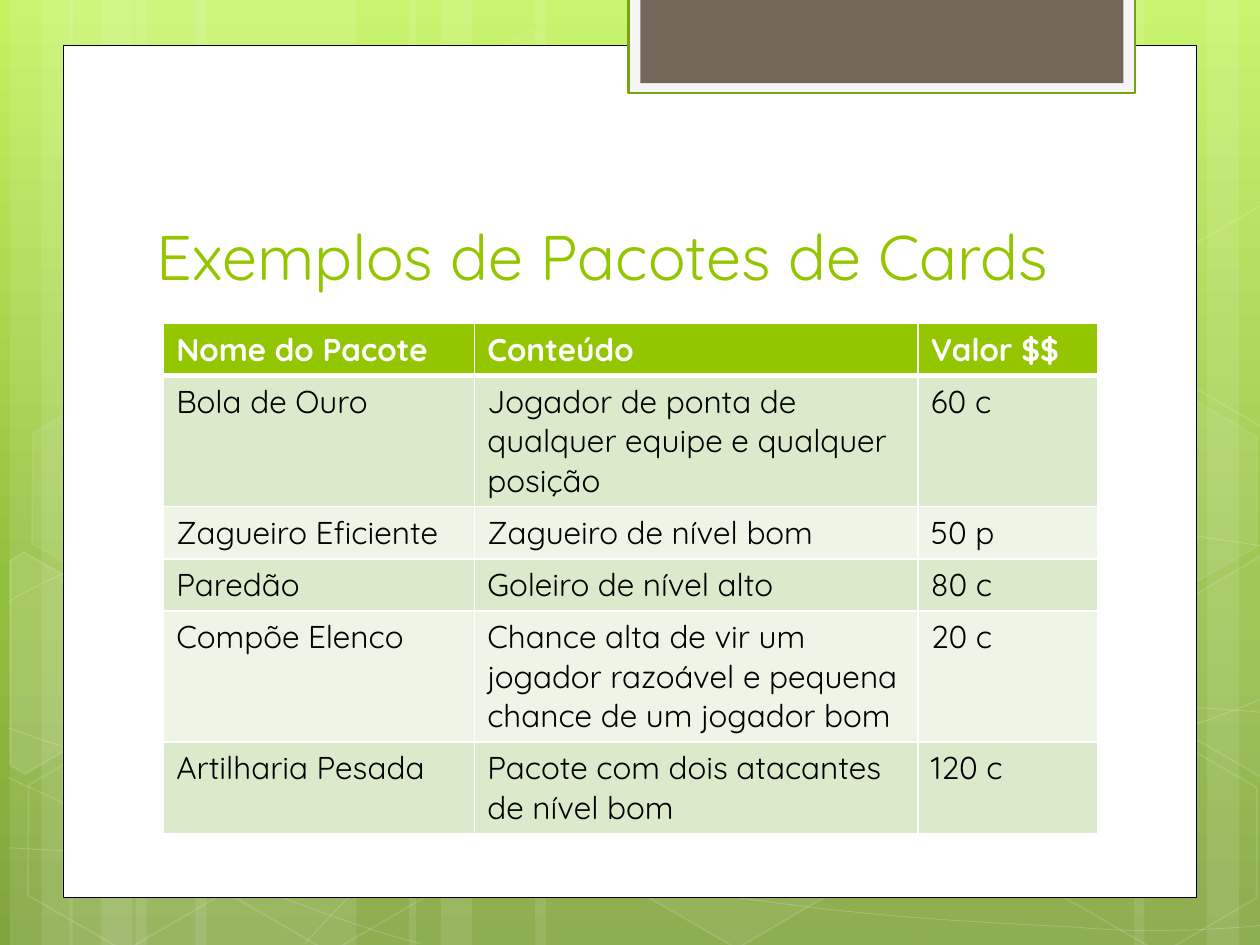
from copy import deepcopy
from math import cos, radians, sin

from lxml import etree
from pptx import Presentation
from pptx.dml.color import RGBColor
from pptx.enum import shapes, text
from pptx.oxml.ns import qn
from pptx.util import Cm, Pt

FONT = "Quicksand"
COLORS = {
    "sky": "C3F35F", "grass": "93BF3F", "moss": "81A53E",
    "white": "FFFFFF", "black": "000000", "lime": "94C600",
    "tab": "F5F5F5", "tab_edge": "74A510", "taupe": "71685A",
    "band_dark": "DCEACC", "band_light": "EEF5E7",
}
PACKAGES = [
    ("Nome do Pacote", "Conteúdo", "Valor $$"),
    ("Bola de Ouro", "Jogador de ponta de qualquer equipe e qualquer posição", "60 c"),
    ("Zagueiro Eficiente", "Zagueiro de nível bom", "50 p"),
    ("Paredão", "Goleiro de nível alto", "80 c"),
    ("Compõe Elenco",
     "Chance alta de vir um jogador razoável e pequena chance de um jogador bom", "20 c"),
    ("Artilharia Pesada", "Pacote com dois atacantes de nível bom", "120 c"),
]
COLUMN_WIDTHS = (6.27, 8.94, 3.61)
ROW_HEIGHTS = (1.03, 2.63, 1.03, 1.03, 2.63, 1.83)

# Each wave: a start point, then cubic pieces (two controls and an end), in cm
WAVES = [
    [(0.18, 17.09), (1.55, 17.17, 2.92, 17.25, 4.83, 17.22),
     (6.73, 17.2, 9.09, 17.15, 11.63, 16.89), (14.17, 16.64, 17.78, 16.15, 20.12, 15.67),
     (22.43, 15.19, 24.82, 14.43, 25.58, 14)],
    [(0.18, 12.12), (0.91, 11.71, 1.65, 11.33, 3.07, 10.95),
     (4.52, 10.57, 6.58, 10.01, 8.81, 9.83), (11.07, 9.65, 13.82, 9.63, 16.61, 9.83),
     (19.41, 10.03, 24.05, 10.82, 25.58, 11.02)],
    [(0.15, 15.67), (3.22, 17.07, 6.27, 18.47, 8.48, 19.02)],
    [(0.18, 14.68), (0.97, 14.96, 1.78, 15.24, 3.25, 15.65),
     (4.72, 16.03, 6.93, 16.66, 9.07, 17.09), (11.18, 17.53, 13.84, 17.98, 15.95, 18.24),
     (18.06, 18.52, 20.32, 18.62, 21.67, 18.69), (22.99, 18.8, 23.34, 18.75, 24, 18.75),
     (24.66, 18.72, 25.12, 18.69, 25.58, 18.64)],
    [(6.15, 19.02), (6.6, 18.52, 7.06, 18.01, 7.67, 17.55),
     (8.28, 17.09, 9.14, 16.59, 9.86, 16.23), (10.57, 15.88, 11, 15.72, 11.94, 15.47),
     (12.85, 15.21, 14.55, 14.86, 15.44, 14.68), (16.36, 14.5, 16.48, 14.5, 17.27, 14.45),
     (18.06, 14.38, 19.3, 14.3, 20.17, 14.27), (21.06, 14.25, 22.5, 14.27, 22.5, 14.27),
     (24.21, 14.27), (24.66, 14.3, 25.1, 14.33, 25.32, 14.35),
     (25.55, 14.38, 25.48, 14.35, 25.55, 14.38)],
]
TILT = 30
# left, top, fill opacity, line opacity
HEXAGONS = [
    (8.48, 0.91, 4, 8), (12.62, 14.96, 6, 12), (0.28, 15.01, None, 12),
    (0.36, 7.92, 7, 8), (4.42, 15.04, None, 12), (19.13, 11.51, 10, 12),
    (21.18, 15.06, None, 12), (21.18, 7.98, 7, 8),
]
LEFT_CUT = [(0.2, 11.3), (0.48, 11.13), (2.44, 12.24), (2.41, 14.48), (0.51, 15.6), (0.2, 15.42)]
RIGHT_CUT = [(23.52, 12.32), (25.43, 11.2), (25.63, 11.33), (25.63, 15.57),
             (25.45, 15.67), (23.52, 14.55)]
RIGHT_CUT_RISE = 7.07


def rgb(name):
    return RGBColor.from_string(COLORS[name])


def set_opacity(shape, paint_path, percent):
    color = shape.element.spPr.find(f"{paint_path}/{qn('a:srgbClr')}")
    etree.SubElement(color, qn("a:alpha")).set("val", str(percent * 1000))


def paint(shape, fill=None, opacity=None, line=None, weight=1, line_opacity=None):
    shape.shadow.inherit = False
    if fill:
        shape.fill.solid()
        shape.fill.fore_color.rgb = rgb(fill)
        if opacity:
            set_opacity(shape, qn("a:solidFill"), opacity)
    else:
        shape.fill.background()
    if line:
        shape.line.color.rgb = rgb(line)
        shape.line.width = Pt(weight)
        if line_opacity:
            set_opacity(shape, f"{qn('a:ln')}/{qn('a:solidFill')}", line_opacity)
    else:
        shape.line.fill.background()


def add_block(parent, box, kind=shapes.MSO_SHAPE.RECTANGLE, **look):
    block = parent.add_shape(kind, *map(Cm, box))
    paint(block, **look)
    return block


def add_outline(parent, points, close, **look):
    start, *rest = [(Cm(x), Cm(y)) for x, y in points]
    builder = parent.build_freeform(*start)
    builder.add_line_segments(rest, close=close)
    outline = builder.convert_to_shape()
    paint(outline, **look)
    return outline


def add_wave(parent, wave):
    """Draw through all points, then join each cubic piece into one curve."""
    points = [piece[i:i + 2] for piece in wave for i in range(0, len(piece), 2)]
    outline = add_outline(parent, points, close=False,
                          line="white", weight=0.5, line_opacity=20)
    segments = iter(list(outline.element.iter(qn("a:lnTo"))))
    for piece in wave[1:]:
        first = next(segments)
        if len(piece) == 6:
            first.tag = qn("a:cubicBezTo")
            for _ in range(2):
                segment = next(segments)
                first.append(segment[0])
                segment.getparent().remove(segment)


def add_cut_hexagon(parent, points, center, **look):
    """Lay the outline out level, then tilt it like the other hexagons."""
    x0, y0 = center
    c, s = cos(radians(TILT)), sin(radians(TILT))
    level = [(x0 + (x - x0) * c + (y - y0) * s, y0 - (x - x0) * s + (y - y0) * c)
             for x, y in points]
    add_outline(parent, level, close=True, line="white", line_opacity=12,
                **look).rotation = TILT


def write(frame, words, size=18, color="black", bold=False):
    paragraph = frame.paragraphs[0]
    paragraph.alignment = text.PP_ALIGN.LEFT
    run = paragraph.add_run()
    run.text = words
    run.font.name, run.font.size, run.font.bold = FONT, Pt(size), bold
    run.font.color.rgb = rgb(color)


def fill_background(slide):
    fill = slide.background.fill
    fill.gradient()
    fill.gradient_angle = 270
    stops = slide.element.find(f".//{qn('a:gsLst')}")
    stops.insert(1, deepcopy(stops[0]))
    colors = (("sky", 0), ("grass", 0.62), ("moss", 1))
    for stop, (color, position) in zip(fill.gradient_stops, colors):
        stop.color.rgb = rgb(color)
        stop.position = position


def add_stripes(parent, height):
    stripes = [(18.62, 4.45), (24.33, 1.27), (22.86, 2.12)]
    for left, wide in ((0.2, 4.45), (1.4, 4.45), (8.25, 7.83)):
        stripes += [(left + 2.54, wide), (left, 1.27), (left + 0.64, 2.12)]
    for left, width in stripes:
        add_block(parent, (left, 0, width, height), fill="white", opacity=10)


def add_hexagons(parent):
    for left, top, opacity, line_opacity in HEXAGONS:
        hexagon = add_block(parent, (left, top, 4.45, 3.86), shapes.MSO_SHAPE.HEXAGON,
                            fill="white" if opacity else None, opacity=opacity,
                            line="white", line_opacity=line_opacity)
        hexagon.adjustments[0] = 0.285
        hexagon.rotation = TILT
    add_cut_hexagon(parent, LEFT_CUT, (0.91, 13.59), fill="white", opacity=10)
    add_cut_hexagon(parent, RIGHT_CUT, (25.02, 13.21), fill="white", opacity=4)
    add_cut_hexagon(parent, [(x, y - RIGHT_CUT_RISE) for x, y in RIGHT_CUT],
                    (25.02, 13.21 - RIGHT_CUT_RISE))


def add_backdrop(slide, height):
    decor = slide.shapes.add_group_shape().shapes
    add_stripes(decor, height)
    for wave in WAVES:
        add_wave(decor, wave)
    add_hexagons(decor)


def add_panel(slide, left, top, width, height):
    """White page with the tab hanging from the top edge of the slide."""
    add_block(slide.shapes, (left, top, width, height), fill="white", line="black", weight=0.5)
    tab_left = left + 11.4
    add_block(slide.shapes, (tab_left, -0.05, 10.21, 1.93),
              fill="tab", line="tab_edge", weight=1.25)
    add_block(slide.shapes, (tab_left + 0.24, -0.05, 9.74, 1.73), fill="taupe")


def place_title(slide, words, box):
    title = slide.shapes.title
    title.left, title.top, title.width, title.height = map(Cm, box)
    title.element.getparent().append(title.element)  # in front of the panel
    title.text_frame.word_wrap = True
    title.text_frame.vertical_anchor = text.MSO_ANCHOR.BOTTOM
    write(title.text_frame, words, size=36, color="lime")


def set_borders(cell, **weights):
    properties = cell._tc.get_or_add_tcPr()
    for index, side in enumerate("LRTB"):
        border = etree.Element(qn(f"a:ln{side}"), w=str(Pt(weights.get(side, 1))))
        solid = etree.SubElement(border, qn("a:solidFill"))
        etree.SubElement(solid, qn("a:srgbClr"), val=COLORS["white"])
        properties.insert(index, border)


def add_package_table(slide, left, top):
    table = slide.shapes.add_table(
        len(PACKAGES), len(COLUMN_WIDTHS), Cm(left), Cm(top),
        Cm(sum(COLUMN_WIDTHS)), Cm(sum(ROW_HEIGHTS))).table
    for column, width in zip(table.columns, COLUMN_WIDTHS):
        column.width = Cm(width)
    for number, (row, height, package) in enumerate(zip(table.rows, ROW_HEIGHTS, PACKAGES)):
        row.height = Cm(height)
        header = number == 0
        band = "lime" if header else ("band_light", "band_dark")[number % 2]
        for cell, words in zip(row.cells, package):
            write(cell.text_frame, words, color="white" if header else "black", bold=header)
            cell.fill.solid()
            cell.fill.fore_color.rgb = rgb(band)
            set_borders(cell, B=3 if header else 1, T=3 if number == 1 else 1)


def main():
    deck = Presentation()
    deck.slide_width, deck.slide_height = Cm(25.4), Cm(19.05)
    slide = deck.slides.add_slide(deck.slide_layouts[5])
    fill_background(slide)
    add_backdrop(slide, 19.05)
    add_panel(slide, 1.27, 0.91, 22.86, 17.19)
    place_title(slide, "Exemplos de Pacotes de Cards", (2.9, 2.86, 19.99, 3.18))
    add_package_table(slide, 3.3, 6.52)
    deck.save("out.pptx")


if __name__ == "__main__":
    main()
